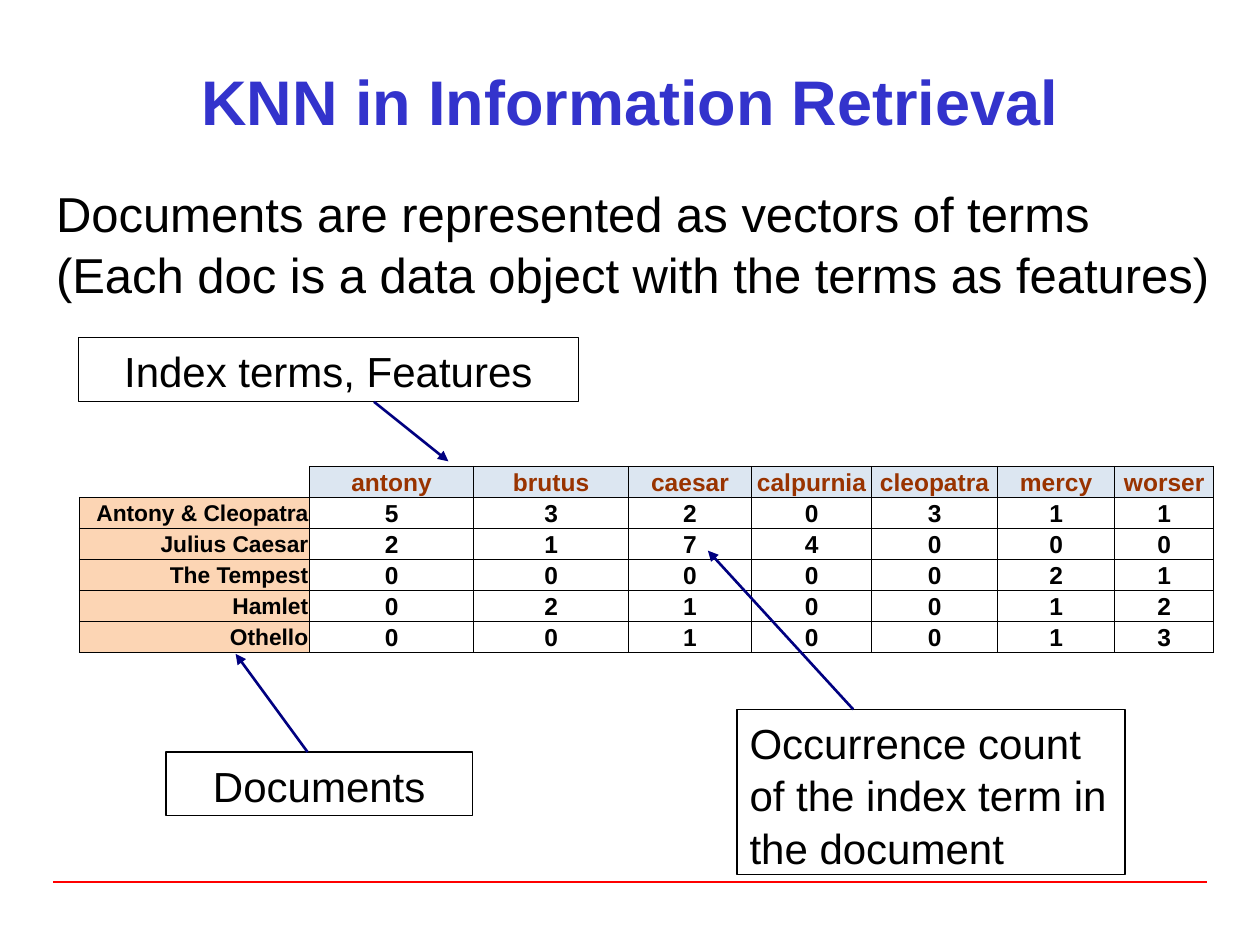
from lxml.etree import SubElement
from pptx import Presentation
from pptx.dml.color import RGBColor
from pptx.enum.shapes import MSO_CONNECTOR, MSO_SHAPE
from pptx.enum.text import MSO_ANCHOR, PP_ALIGN
from pptx.oxml import parse_xml
from pptx.oxml.ns import nsdecls, qn
from pptx.util import Cm, Pt


def rgb(value):
    """Turn a hex string into a colour."""
    return RGBColor.from_string(value)


def write(tf, lines, align, anchor, size, color="000000", bold=False, spacing=None):
    """Fill a text frame with one paragraph per line."""
    tf.vertical_anchor = anchor
    for i, line in enumerate(lines):
        p = tf.paragraphs[0] if i == 0 else tf.add_paragraph()
        p.alignment = align
        p.line_spacing = spacing
        r = p.add_run()
        r.text = line
        r.font.color.rgb = rgb(color)
        for name, value in {"name": "Arial", "size": Pt(size), "bold": bold}.items():
            setattr(r.font, name, value)


LEFT, CENTER, RIGHT = PP_ALIGN.LEFT, PP_ALIGN.CENTER, PP_ALIGN.RIGHT
TOP, MIDDLE, BOTTOM = MSO_ANCHOR.TOP, MSO_ANCHOR.MIDDLE, MSO_ANCHOR.BOTTOM

prs = Presentation()
prs.slide_width, prs.slide_height = Cm(25.4), Cm(19.05)
s = prs.slides.add_slide(prs.slide_layouts[6])

# Title and introduction
sp = s.shapes.add_textbox(Cm(0.85), Cm(0.85), Cm(23.7), Cm(2.35))
sp.text_frame.word_wrap = True
write(sp.text_frame, ["KNN in Information Retrieval"], CENTER, MIDDLE, 36, "3333CC", True)

sp = s.shapes.add_textbox(Cm(0.88), Cm(3.53), Cm(24.05), Cm(2.65))
sp.text_frame.word_wrap = False
write(sp.text_frame, ["Documents are represented as vectors of terms",
                      "(Each doc is a data object with the terms as features)"],
      LEFT, TOP, 28, spacing=1.04)

# Term-document table
terms = ["antony", "brutus", "caesar", "calpurnia", "cleopatra", "mercy", "worser"]
counts = {
    "Antony & Cleopatra": [5, 3, 2, 0, 3, 1, 1],
    "Julius Caesar": [2, 1, 7, 4, 0, 0, 0],
    "The Tempest": [0, 0, 0, 0, 0, 2, 1],
    "Hamlet": [0, 2, 1, 0, 0, 1, 2],
    "Othello": [0, 0, 1, 0, 0, 1, 3],
}
rows = [["", *terms]] + [[play, *values] for play, values in counts.items()]
widths = [4.64, 3.31, 3.12, 2.48, 2.42, 2.54, 2.36, 2]
row_height = 0.62
table = s.shapes.add_table(len(rows), len(widths), Cm(1.6), Cm(9.4),
                           Cm(sum(widths)), Cm(row_height * len(rows))).table
table.first_row = table.horz_banding = False
for column, width in zip(table.columns, widths):
    column.width = Cm(width)

margins = {"margin_left": 0.03, "margin_right": 0.03, "margin_top": 0.03, "margin_bottom": 0}
for i, row in enumerate(rows):
    table.rows[i].height = Cm(row_height)
    for j, value in enumerate(row):
        cell = table.cell(i, j)
        for name, value_cm in margins.items():
            setattr(cell, name, Cm(value_cm))
        corner = i == 0 and j == 0
        if corner:
            cell.text_frame.paragraphs[0].font.size = Pt(13)
            fill = None
        elif i == 0:
            write(cell.text_frame, [value], CENTER, MIDDLE, 14, "993300", True)
            cell.vertical_anchor, fill = MIDDLE, "DCE6F1"
        elif j == 0:
            write(cell.text_frame, [value], RIGHT, MIDDLE, 13, bold=True)
            cell.vertical_anchor, fill = MIDDLE, "FCD5B4"
        else:
            write(cell.text_frame, [str(value)], CENTER, BOTTOM, 14, bold=True)
            cell.vertical_anchor, fill = BOTTOM, None
        if fill:
            cell.fill.solid()
            cell.fill.fore_color.rgb = rgb(fill)
        else:
            cell.fill.background()
        for k, side in enumerate("LRTB"):
            color = "FFFFFF" if corner and side in "LT" else "000000"
            border = parse_xml(
                f'<a:ln{side} {nsdecls("a")} w="{Pt(0.5)}"><a:solidFill>'
                f'<a:srgbClr val="{color}"/></a:solidFill></a:ln{side}>')
            cell._tc.get_or_add_tcPr().insert(k, border)

# Captions around the table
captions = [
    ("Index terms, Features", CENTER, (1.58, 6.81, 10.08, 1.28)),
    ("Documents", CENTER, (3.35, 15.16, 6.17, 1.28)),
    ("Occurrence count of the index term in the document", LEFT, (14.86, 14.3, 7.82, 3.33)),
]
for text, align, box in captions:
    sp = s.shapes.add_shape(MSO_SHAPE.RECTANGLE, *map(Cm, box))
    sp.shadow.inherit = False
    sp.fill.background()
    sp.line.color.rgb = rgb("000000")
    sp.line.width = Pt(0.75)
    sp.text_frame.word_wrap = True
    write(sp.text_frame, [text], align, TOP, 24, spacing=1.04)

# Arrows from the captions, and the footer rule
lines = [
    ((7.54, 8.1, 9.04, 9.3), "000080", 1.5, True),
    ((6.2, 15.16, 4.75, 13.18), "000080", 1.5, True),
    ((17.2, 14.3, 14.27, 11.1), "000080", 1.5, True),
    ((1.07, 17.78, 24.33, 17.78), "FF0000", 1, False),
]
for ends, color, width, arrow in lines:
    line = s.shapes.add_connector(MSO_CONNECTOR.STRAIGHT, *map(Cm, ends))
    line.line.color.rgb = rgb(color)
    line.line.width = Pt(width)
    if arrow:
        SubElement(line.line._get_or_add_ln(), qn("a:tailEnd"), type="triangle")
    SubElement(line._element.spPr, qn("a:effectLst"))

prs.save("out.pptx")
